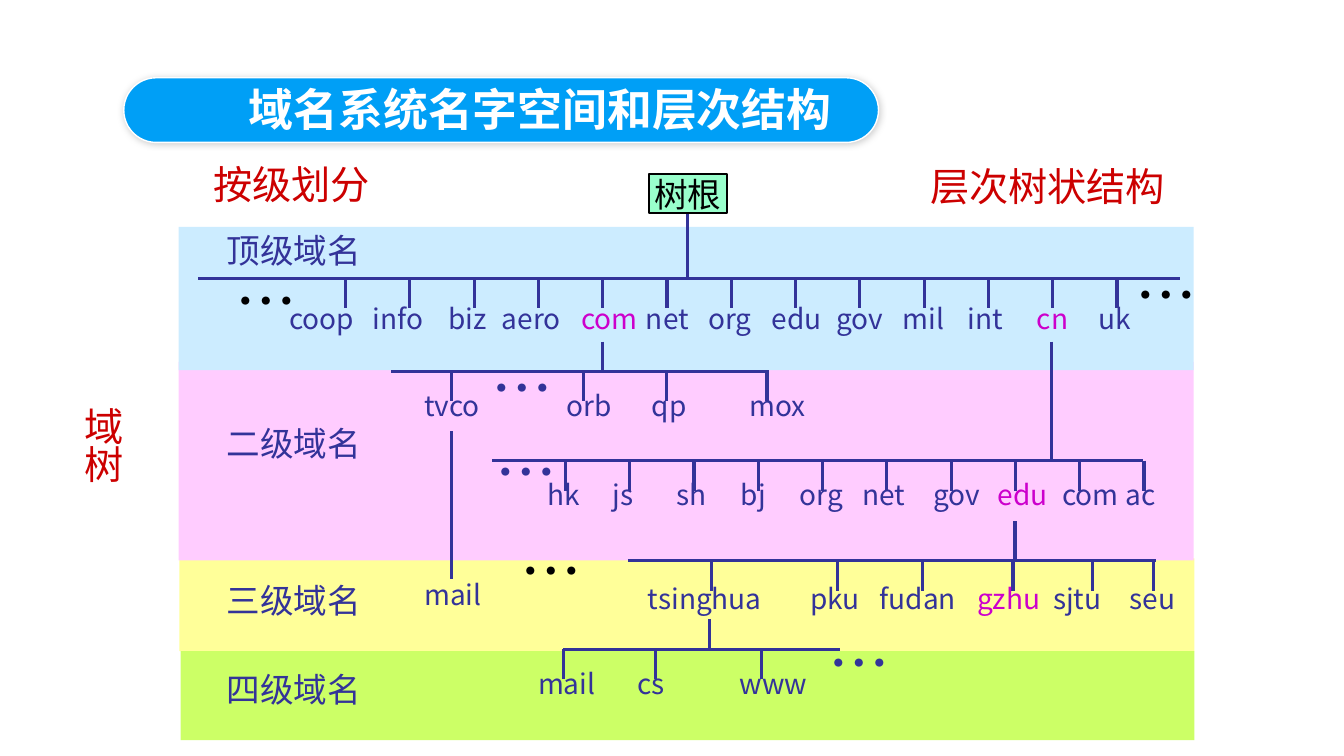
import lxml.etree
import pptx
import pptx.dml.color
import pptx.enum.shapes
import pptx.enum.text
import pptx.oxml.ns
import pptx.util

Cm = pptx.util.Cm
SHAPES = pptx.enum.shapes.MSO_SHAPE
ANCHOR = pptx.enum.text.MSO_ANCHOR
ALIGN = pptx.enum.text.PP_ALIGN
FONT = "Noto Sans CJK SC"
TITLE_FONT = "Noto Sans CJK JP"
COLORS = {
    "pill": "009FF6", "white": "FFFFFF", "black": "000000", "navy": "333399",
    "path": "CC00CC", "red": "CC0000", "root": "99FFCC", "top": "CCECFF",
    "second": "FFCCFF", "third": "FFFF99", "fourth": "CCFF66",
}
TICK_LENGTH = 0.75
TICK_STEP = 1.62

BANDS = {
    "third": (4.52, 14.07, 25.58, 2.34),
    "fourth": (4.55, 16.41, 25.55, 2.24),
    "second": (4.5, 9.12, 25.58, 5),
    "top": (4.5, 5.72, 25.58, 3.61),
}
LEVEL_NAMES = {
    "top": ("顶级域名", 0.05), "second": ("二级域名", 1.5),
    "third": ("三级域名", 0.51), "fourth": ("四级域名", 0.4),
}
ELLIPSES = [
    ("top", 1.19, 0.96, "black"), ("top", 23.87, 0.81, "black"),
    ("second", 7.64, -0.26, "navy"), ("second", 7.74, 1.85, "navy"),
    ("third", 8.36, -0.61, "black"), ("fourth", 16.07, -0.61, "navy"),
]
BRANCHES = [
    {"band": "top", "y": 1.29, "rail": (0.5, 25.24), "stem": (12.82, 1.7), "drop": 0.53,
     "ticks": [4.21 + TICK_STEP * i for i in range(13)], "path": ("com", "cn"),
     "labels": [("coop", 2.54, 2.24), ("info", 4.64, 1.83), ("biz", 6.55, 1.5),
                ("aero", 7.9, 2.03), ("com", 9.9, 1.98), ("net", 11.53, 1.63),
                ("org", 13.1, 1.68), ("edu", 14.7, 1.8), ("gov", 16.33, 1.8),
                ("mil", 18, 1.55), ("int", 19.63, 1.4), ("cn", 21.38, 1.32),
                ("uk", 22.93, 1.35)]},
    {"band": "second", "y": 0.24, "rail": (5.36, 14.88), "stem": (10.69, 0.75), "drop": 0.39,
     "ticks": [6.88, 10.21, 12.29, 14.83], "path": (),
     "labels": [("tvco", 5.94, 1.88), ("orb", 9.52, 1.83), ("qp", 11.68, 1.4),
                ("mox", 14.14, 1.9)]},
    {"band": "second", "y": 2.49, "rail": (7.9, 24.3), "stem": (21.99, 3), "drop": 0.38,
     "ticks": [9.75 + TICK_STEP * i for i in range(10)], "path": ("edu",),
     "labels": [("hk", 9.06, 1.35), ("js", 10.69, 1.04), ("sh", 12.29, 1.27),
                ("bj", 13.92, 1.17), ("org", 15.41, 1.68), ("net", 16.99, 1.63),
                ("gov", 18.77, 1.8), ("edu", 20.39, 1.8), ("com", 22.02, 1.98),
                ("ac", 23.62, 1.27)]},
    {"band": "third", "y": 0.06, "rail": (11.3, 24.61), "stem": (21.06, 1), "drop": 0.46,
     "ticks": [13.41, 16.59, 18.72, 21.01, 23.01, 24.54], "path": ("gzhu",),
     "labels": [("tsinghua", 11.56, 3.45), ("pku", 15.65, 1.8), ("fudan", 17.4, 2.49),
                ("gzhu", 19.86, 2.18), ("sjtu", 21.77, 1.73), ("seu", 23.7, 1.68)]},
    {"band": "third", "y": 0.53, "rail": None, "stem": (6.86, 3.73), "drop": -0.1,
     "ticks": [], "path": (), "labels": [("mail", 5.92, 1.96)]},
    {"band": "fourth", "y": -0.05, "rail": (9.65, 16.61), "stem": (13.33, 0.75), "drop": 0.38,
     "ticks": [9.65, 11.96, 14.63], "path": (),
     "labels": [("mail", 8.76, 1.96), ("cs", 11.27, 1.19), ("www", 13.84, 2.21)]},
]


def rgb(name):
    """Return the named colour."""
    return pptx.dml.color.RGBColor.from_string(COLORS[name])


def write_text(shape, text, size, color, font=FONT, bold=False, align=ALIGN.LEFT):
    """Fill a shape with evenly formatted text."""
    frame = shape.text_frame
    frame.text = text
    frame.word_wrap = True
    frame.vertical_anchor = ANCHOR.TOP
    frame.margin_left = frame.margin_right = Cm(0.25)
    frame.margin_top = Cm(0.13 + 0.0039 * size)
    frame.margin_bottom = Cm(0)
    for para in frame.paragraphs:
        para.alignment = align
        para.line_spacing = 0.81
        para.space_before = pptx.util.Pt(0)
        for span in para.runs:
            span.font.size = pptx.util.Pt(size)
            span.font.bold = bold
            span.font.color.rgb = rgb(color)
            span.font.name = font
            properties = span.font._element if hasattr(span.font, "_element") else span._r.get_or_add_rPr()
            lxml.etree.SubElement(properties, pptx.oxml.ns.qn("a:ea"), typeface=font)


def add_label(page, box, text, size, color):
    """Add a text box at the given box."""
    write_text(page.shapes.add_textbox(*map(Cm, box)), text, size, color)


def add_panel(page, box, kind, fill, line=None, width=1):
    """Add a filled shape with an optional outline."""
    panel = page.shapes.add_shape(kind, *map(Cm, box))
    panel.shadow.inherit = False
    panel.fill.solid()
    panel.fill.fore_color.rgb = rgb(fill)
    if line:
        panel.line.color.rgb = rgb(line)
        panel.line.width = pptx.util.Pt(width)
    else:
        panel.line.fill.background()
    return panel


def add_line(page, *ends):
    """Add a straight tree line from x, y to x, y."""
    line = page.shapes.add_connector(pptx.enum.shapes.MSO_CONNECTOR.STRAIGHT, *map(Cm, ends))
    line.line.color.rgb = rgb("navy")
    line.line.width = pptx.util.Pt(2.25)
    lxml.etree.SubElement(line._element.spPr, pptx.oxml.ns.qn("a:effectLst"))


def draw_title(page, box):
    """Draw the title on its rounded bar."""
    left, top, width, height = box
    pill = add_panel(page, box, SHAPES.ROUNDED_RECTANGLE, "pill", "white")
    pill.adjustments[0] = 0.5
    qn = pptx.oxml.ns.qn
    effects = pill._element.spPr.find(qn("a:effectLst"))
    shadow = lxml.etree.SubElement(effects, qn("a:outerShdw"), blurRad="63500", dist="0", dir="0")
    tint = lxml.etree.SubElement(shadow, qn("a:srgbClr"), val=COLORS["black"])
    lxml.etree.SubElement(tint, qn("a:alpha"), val="20000")
    title = page.shapes.title
    title.left, title.top = Cm(left + 2.9), Cm(top + 0.1)
    title.width, title.height = Cm(width - 1.77), Cm(height)
    write_text(title, "域名系统名字空间和层次结构", 32, "white", TITLE_FONT, True)
    pill._element.addnext(title._element)


def draw_headings(page, box):
    """Draw the red headings and the tree root above the bands."""
    left, top = box[:2]
    add_label(page, (left + 0.63, top - 1.71, 4.6, 1.45), "按级划分", 28, "red")
    add_label(page, (left + 18.69, top - 1.66, 6.6, 1.45), "层次树状结构", 28, "red")
    add_label(page, (left - 2.62, top + 4.39, 1.85, 2.64), "域\n树", 28, "red")
    root = add_panel(page, (left + 11.86, top - 1.33, 1.96, 0.97),
                     SHAPES.RECTANGLE, "root", "black", 1.5)
    write_text(root, "树根", 24, "black", align=ALIGN.CENTER)
    root.text_frame.word_wrap = False
    root.text_frame.vertical_anchor = ANCHOR.MIDDLE


def draw_branch(page, box, branch):
    """Draw one stem, rail and row of names inside a band."""
    left, top = box[:2]
    rail_y = top + branch["y"]
    stem_x, stem_length = branch["stem"]
    add_line(page, left + stem_x, rail_y - stem_length, left + stem_x, rail_y)
    if branch["rail"]:
        start, end = branch["rail"]
        add_line(page, left + start, rail_y, left + end, rail_y)
    for tick in branch["ticks"]:
        add_line(page, left + tick, rail_y, left + tick, rail_y + TICK_LENGTH)
    for name, offset, width in branch["labels"]:
        color = "path" if name in branch["path"] else "navy"
        add_label(page, (left + offset, rail_y + branch["drop"], width + 0.1, 1.12),
                  name, 20, color)


def draw_tree(page, bands):
    """Draw the level bands and the domain tree over them."""
    for level, box in bands.items():
        add_panel(page, box, SHAPES.RECTANGLE, level)
    for branch in BRANCHES:
        draw_branch(page, bands[branch["band"]], branch)
    for level, (name, offset) in LEVEL_NAMES.items():
        add_label(page, (5.46, bands[level][1] + offset, 4, 1.27), name, 24, "navy")
    for level, x, y, color in ELLIPSES:
        left, top = bands[level][:2]
        add_label(page, (left + x, top + y, 1.78, 2.13), "…", 44, color)
    draw_headings(page, bands["top"])


def main():
    """Build and save the slide."""
    deck = pptx.Presentation()
    deck.slide_width, deck.slide_height = Cm(33.87), Cm(19.05)
    page = deck.slides.add_slide(deck.slide_layouts[5])
    draw_title(page, (3.12, 1.96, 19.02, 1.63))
    draw_tree(page, BANDS)
    deck.save("out.pptx")


if __name__ == "__main__":
    main()
